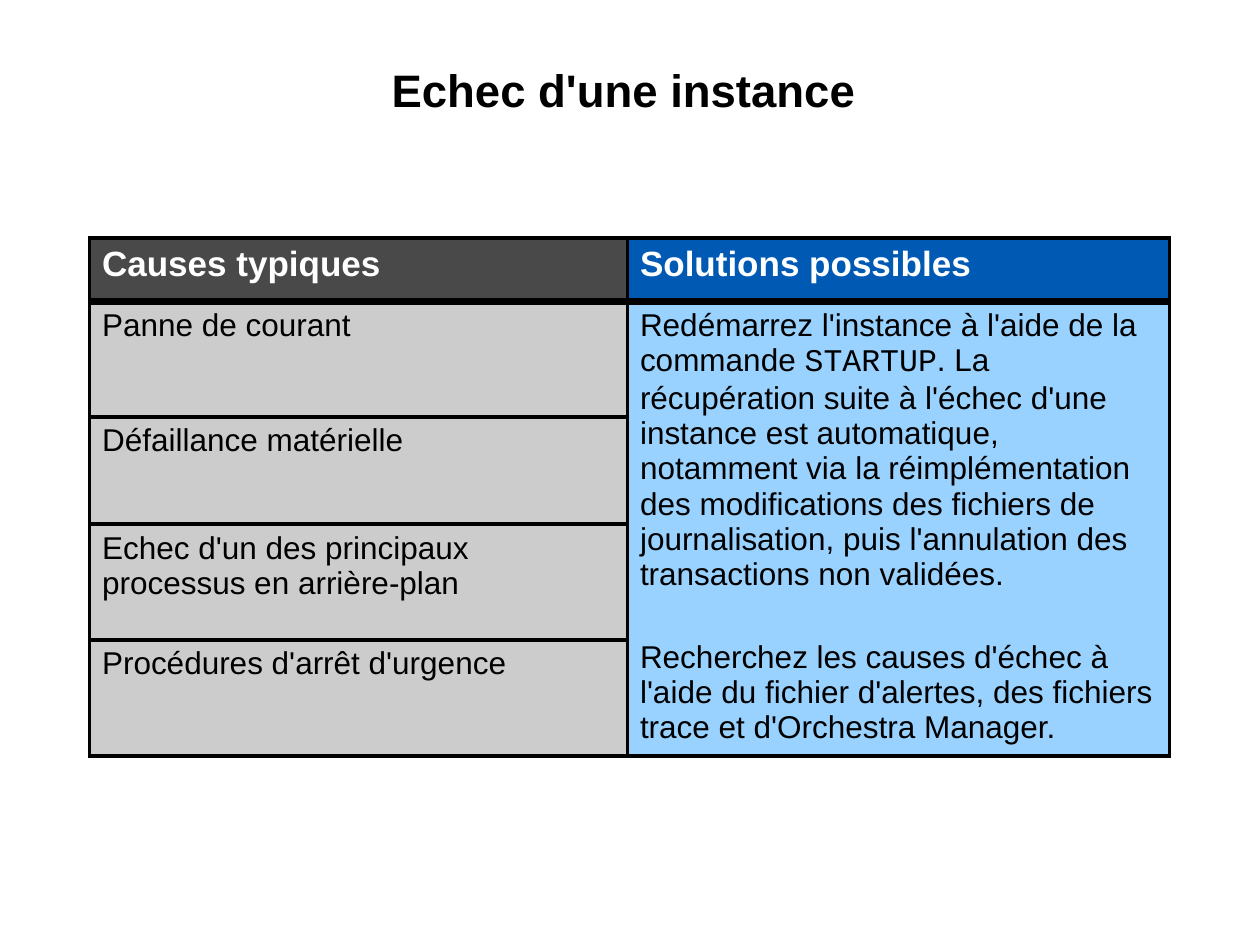
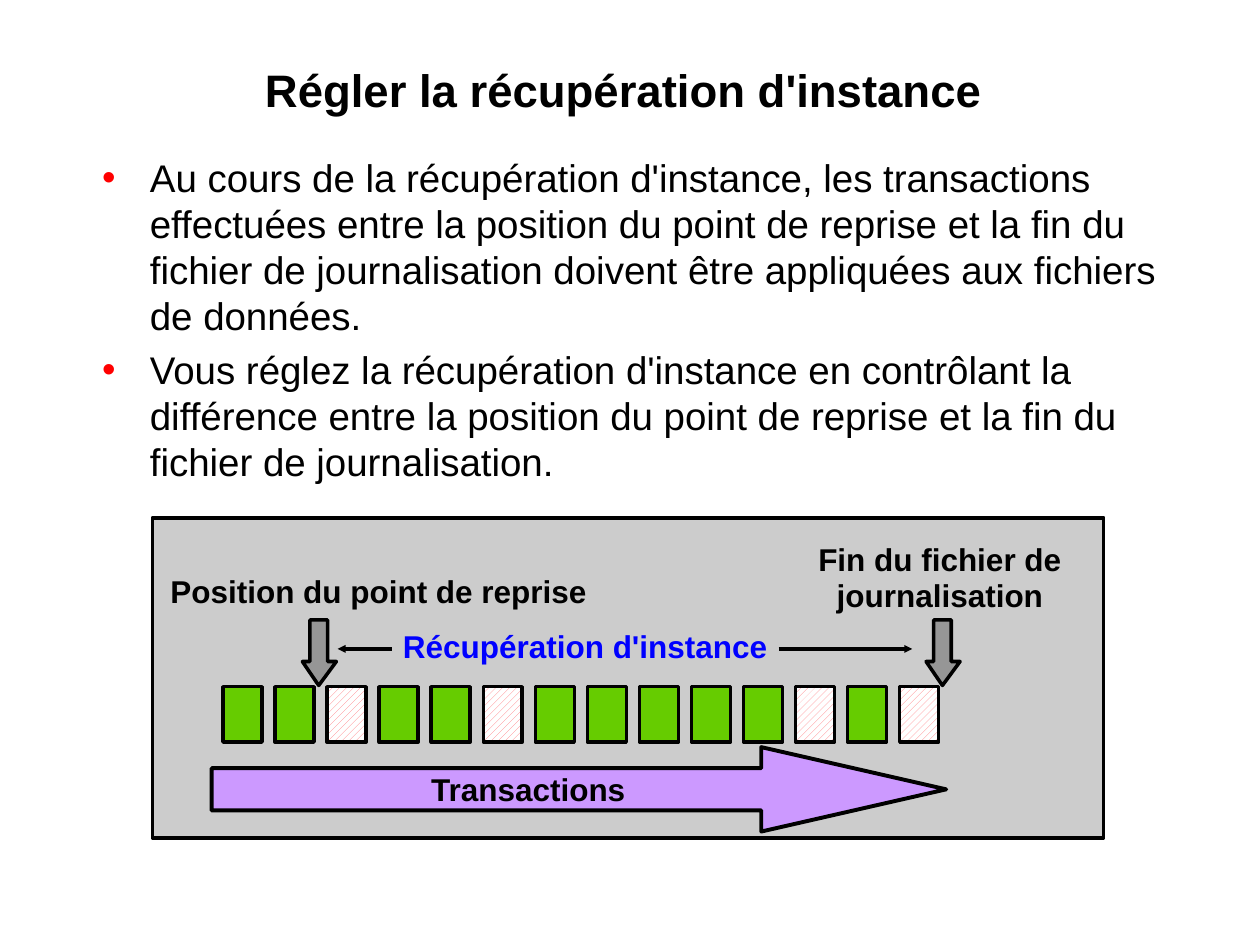
from lxml import etree
from pptx import Presentation
from pptx.dml.color import RGBColor
from pptx.enum import dml, shapes, text
from pptx.oxml import ns
from pptx.util import Inches, Pt

BLACK = RGBColor(0x00, 0x00, 0x00)
WHITE = RGBColor(0xFF, 0xFF, 0xFF)
RED = RGBColor(0xFF, 0x00, 0x00)
BLUE = RGBColor(0x00, 0x00, 0xFF)
DARK_GREY = RGBColor(0x49, 0x49, 0x49)
MID_GREY = RGBColor(0x96, 0x96, 0x96)
LIGHT_GREY = RGBColor(0xCC, 0xCC, 0xCC)
DEEP_BLUE = RGBColor(0x00, 0x5A, 0xB4)
PALE_BLUE = RGBColor(0x99, 0xD2, 0xFF)
GREEN = RGBColor(0x66, 0xCC, 0x00)
PINK = RGBColor(0xFF, 0x7C, 0x80)
PURPLE = RGBColor(0xCC, 0x99, 0xFF)

TITLE_ONLY, TITLE_AND_BODY = 5, 1
TITLE_BOX = (0.67, 0.48, 8.66, 0.96)
BODY_BOX = (0.67, 1.21, 8.66, 2.66)
TABLE_BOX = (0.71, 1.89, 8.57, 4.11)
PANEL_BOX = (1.21, 4.11, 7.55, 2.54)

TITLE_FONT = {"name": "Arial", "size": Pt(26), "bold": True}
BODY_FONT = {"name": "Arial", "size": Pt(22), "bold": False}
HEADER_FONT = {"name": "Arial", "size": Pt(20), "bold": True}
CELL_FONT = {"name": "Arial", "size": Pt(18), "bold": False}
CODE_FONT = {**CELL_FONT, "name": "Courier New"}
LABEL_FONT = {"name": "Arial", "size": Pt(18), "bold": True}

CAUSES = ["Panne de courant", "Défaillance matérielle",
          "Echec d'un des principaux processus en arrière-plan",
          "Procédures d'arrêt d'urgence"]
RESTART = [("Redémarrez l'instance à l'aide de la commande ", CELL_FONT),
           ("STARTUP", CODE_FONT),
           (". La récupération suite à l'échec d'une instance est automatique, "
            "notamment via la réimplémentation des modifications des fichiers de "
            "journalisation, puis l'annulation des transactions non validées.", CELL_FONT)]
INVESTIGATE = ("Recherchez les causes d'échec à l'aide du fichier d'alertes, "
               "des fichiers trace et d'Orchestra Manager.")
POINTS = ["Au cours de la récupération d'instance, les transactions effectuées entre "
          "la position du point de reprise et la fin du fichier de journalisation "
          "doivent être appliquées aux fichiers de données.",
          "Vous réglez la récupération d'instance en contrôlant la différence entre "
          "la position du point de reprise et la fin du fichier de journalisation."]


def set_all(target, values):
    for name, value in values.items():
        setattr(target, name, value)


def lengths(box):
    return [Inches(value) for value in box]


def inside(box, left, top, width, height):
    """Turn a place measured from the box's corner into slide lengths."""
    return lengths((box[0] + left, box[1] + top, width, height))


def format_span(span, font, color=BLACK):
    set_all(span.font, font)
    span.font.color.rgb = color


def write(para, words, font, color=BLACK):
    para.text = words
    for span in para.runs:
        format_span(span, font, color)


def add_xml(parent, tag, **attributes):
    return etree.SubElement(parent, ns.qn(tag), attributes)


def place(placeholder, box):
    set_all(placeholder, dict(zip(("left", "top", "width", "height"), lengths(box))))
    margin = Inches(0.01)
    set_all(placeholder.text_frame, {
        "margin_left": margin, "margin_right": margin,
        "margin_top": margin, "margin_bottom": margin, "word_wrap": True,
        "vertical_anchor": text.MSO_ANCHOR.TOP, "auto_size": text.MSO_AUTO_SIZE.NONE})


def add_page(deck, layout, title):
    page = deck.slides.add_slide(deck.slide_layouts[layout])
    place(page.shapes.title, TITLE_BOX)
    para = page.shapes.title.text_frame.paragraphs[0]
    para.alignment = text.PP_ALIGN.CENTER
    write(para, title, TITLE_FONT)
    return page


def style_cell(cell, color, top, bottom):
    """Draw the cell's black borders, then fill it."""
    properties = cell._tc.get_or_add_tcPr()
    for side, width in zip("LRTB", (2.25, 2.25, top, bottom)):
        border = add_xml(properties, f"a:ln{side}", w=str(Pt(width)))
        add_xml(add_xml(border, "a:solidFill"), "a:srgbClr", val=str(BLACK))
    cell.fill.solid()
    cell.fill.fore_color.rgb = color


def add_causes_table(page, box):
    row_heights = (0.5, 0.92, 0.85, 0.92, 0.92)
    table = page.shapes.add_table(len(row_heights), 2, *lengths(box)).table
    for column, width in zip(table.columns, (4.27, 4.3)):
        column.width = Inches(width)
    for index, height in enumerate(row_heights):
        table.rows[index].height = Inches(height)
        colors = (LIGHT_GREY, PALE_BLUE) if index else (DARK_GREY, DEEP_BLUE)
        top = 4.5 if index == 1 else 2.25
        bottom = 2.25 if index else 4.5
        for column, color in enumerate(colors):
            style_cell(table.cell(index, column), color, top, bottom)
    for column, header in enumerate(("Causes typiques", "Solutions possibles")):
        write(table.cell(0, column).text_frame.paragraphs[0], header, HEADER_FONT, WHITE)
    for index, cause in enumerate(CAUSES, 1):
        write(table.cell(index, 0).text_frame.paragraphs[0], cause, CELL_FONT)

    solutions = table.cell(1, 1)
    solutions.merge(table.cell(len(CAUSES), 1))
    para = solutions.text_frame.paragraphs[0]
    for words, font in RESTART:
        span = para.add_run()
        span.text = words
        format_span(span, font)
    para = solutions.text_frame.add_paragraph()
    para.space_before = Pt(27)
    write(para, INVESTIGATE, CELL_FONT)


def add_points(page, box):
    body = page.placeholders[1]
    place(body, box)
    frame = body.text_frame
    for index, point in enumerate(POINTS):
        para = frame.add_paragraph() if index else frame.paragraphs[0]
        para.level = 1
        write(para, point, BODY_FONT)
        properties = para._p.get_or_add_pPr()
        properties.set("marL", str(Inches(0.51)))
        properties.set("indent", str(Inches(-0.38)))
        add_xml(add_xml(properties, "a:buClr"), "a:srgbClr", val=str(RED))
        add_xml(properties, "a:buFont", typeface="Arial")
        add_xml(properties, "a:buChar", char="•")


def paint(shape, color, line_width=2):
    shape.shadow.inherit = False
    shape.fill.solid()
    shape.fill.fore_color.rgb = color
    shape.line.color.rgb = BLACK
    shape.line.width = Pt(line_width)


def add_shape(page, kind, place_on_slide, color, line_width=2):
    shape = page.shapes.add_shape(kind, *place_on_slide)
    paint(shape, color, line_width)
    return shape


def add_label(page, place_on_slide, words, color=BLACK, wrap=True, spacing=None):
    frame = page.shapes.add_textbox(*place_on_slide).text_frame
    frame.word_wrap = wrap
    para = frame.paragraphs[0]
    set_all(para, {"alignment": text.PP_ALIGN.CENTER, "line_spacing": spacing})
    write(para, words, LABEL_FONT, color)


def add_marker(page, left, top):
    """Draw a small block arrow pointing down."""
    outline = [(0.13, 0.52), (0.27, 0.33), (0.2, 0.33), (0.2, 0),
               (0.06, 0), (0.06, 0.33), (0, 0.33)]
    points = [lengths((left + x, top + y)) for x, y in outline]
    builder = page.shapes.build_freeform(*points[0])
    builder.add_line_segments(points[1:], close=True)
    paint(builder.convert_to_shape(), MID_GREY)


def add_span_arrow(page, start, end, y):
    line = page.shapes.add_connector(
        shapes.MSO_CONNECTOR.STRAIGHT, *lengths((start, y, end, y)))
    line.line.color.rgb = BLACK
    line.line.width = Pt(2.25)
    add_xml(line.line._get_or_add_ln(), "a:tailEnd", type="triangle", w="sm", len="sm")
    add_xml(line._element.spPr, "a:effectLst")


def add_blocks(page, box):
    """Draw the row of log blocks; the hatched ones are listed by position."""
    hatched = (2, 5, 11, 13)
    pitch = 5.37 / 13
    for index in range(14):
        block = add_shape(page, shapes.MSO_SHAPE.RECTANGLE,
                          inside(box, 0.56 + index * pitch, 1.34, 0.31, 0.44), GREEN)
        if index in hatched:
            block.fill.patterned()
            block.fill.pattern = dml.MSO_PATTERN.WIDE_UPWARD_DIAGONAL
            block.fill.fore_color.rgb = PINK
            block.fill.back_color.rgb = WHITE


def add_recovery_diagram(page, box):
    left, top = box[:2]
    add_shape(page, shapes.MSO_SHAPE.RECTANGLE, lengths(box), LIGHT_GREY)
    add_blocks(page, box)
    for offset in (1.19, 6.14):
        add_marker(page, left + offset, top + 0.81)
    add_label(page, inside(box, 5, 0.15, 2.5, 0.67),
              "Fin du fichier de\vjournalisation", spacing=0.95)
    add_label(page, inside(box, 0.04, 0.38, 3.58, 0.4),
              "Position du point de reprise ", wrap=False)

    flow = add_shape(page, shapes.MSO_SHAPE.RIGHT_ARROW,
                     inside(box, 0.47, 1.82, 5.83, 0.67), PURPLE, 2.25)
    flow.adjustments[0], flow.adjustments[1] = 0.5, 2.19
    set_all(flow.text_frame, {"word_wrap": False,
                              "vertical_anchor": text.MSO_ANCHOR.MIDDLE})
    para = flow.text_frame.paragraphs[0]
    para.alignment = text.PP_ALIGN.CENTER
    write(para, "Transactions ", LABEL_FONT)

    for start, end in ((1.9, 1.47), (4.97, 6.03)):
        add_span_arrow(page, left + start, left + end, top + 1.04)
    add_label(page, inside(box, 1.77, 0.84, 3.4, 0.39),
              "Récupération d'instance ", BLUE, spacing=0.95)


def main():
    deck = Presentation()
    deck.slide_width, deck.slide_height = Inches(10), Inches(7.5)
    failure = add_page(deck, TITLE_ONLY, "Echec d'une instance ")
    add_causes_table(failure, TABLE_BOX)
    tuning = add_page(deck, TITLE_AND_BODY, "Régler la récupération d'instance ")
    add_points(tuning, BODY_BOX)
    add_recovery_diagram(tuning, PANEL_BOX)
    deck.save("out.pptx")


if __name__ == "__main__":
    main()
